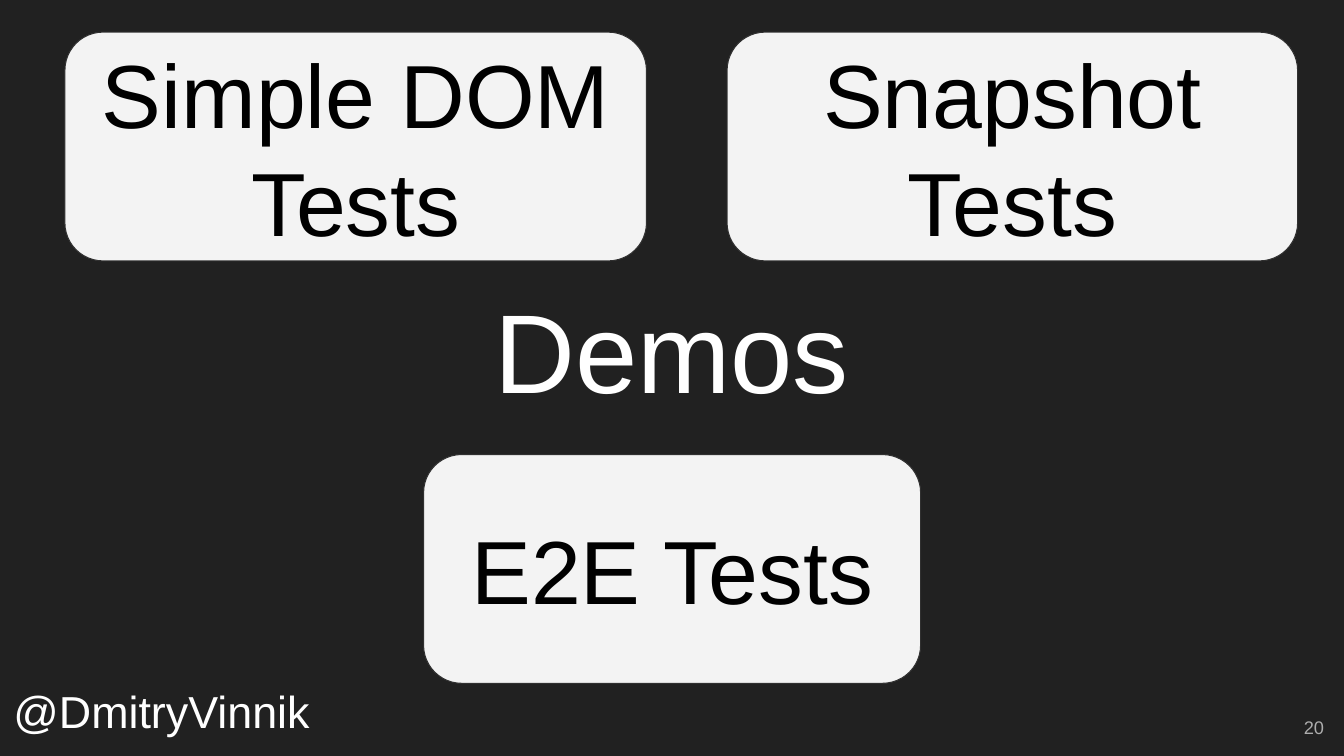
from pptx import Presentation
from pptx.dml.color import RGBColor
from pptx.enum.shapes import MSO_SHAPE
from pptx.enum.text import MSO_ANCHOR, MSO_AUTO_SIZE, PP_ALIGN
from pptx.util import Pt

BACKGROUND = RGBColor(0x21, 0x21, 0x21)
CARD_FILL = RGBColor(0xF3, 0xF3, 0xF3)
CARD_LINE = RGBColor(0x30, 0x30, 0x30)
WHITE = RGBColor(0xFF, 0xFF, 0xFF)
BLACK = RGBColor(0, 0, 0)
GRAY = RGBColor(0xAD, 0xAD, 0xAD)

FONT = "Arial"
INSET = Pt(9.6)
CARD_HEIGHT = 163.4
TOP_ROW = 23
BOTTOM_ROW = 324.7


def write(sp, text, size, color, align, anchor=MSO_ANCHOR.MIDDLE):
    tf = sp.text_frame
    tf.text = text
    tf.word_wrap = True
    tf.auto_size = MSO_AUTO_SIZE.NONE
    tf.vertical_anchor = anchor
    tf.margin_left = tf.margin_top = tf.margin_right = tf.margin_bottom = INSET
    p = tf.paragraphs[0]
    p.alignment = align
    font = p.runs[0].font
    font.name, font.size = FONT, Pt(size)
    font.color.rgb = color
    return p


def set_title(s, text):
    sp = s.shapes.title
    sp.left, sp.top, sp.width, sp.height = Pt(102.2), Pt(231.1), Pt(755.3), Pt(77.8)
    p = write(sp, text, 80, WHITE, PP_ALIGN.CENTER, MSO_ANCHOR.BOTTOM)
    p.line_spacing = 0.95
    p.space_before = Pt(0)


def add_label(s, text, left, top, width, height, size, color, align):
    sp = s.shapes.add_textbox(Pt(left), Pt(top), Pt(width), Pt(height))
    write(sp, text, size, color, align)


def add_card(s, text, left, top, width):
    sp = s.shapes.add_shape(MSO_SHAPE.ROUNDED_RECTANGLE,
                            Pt(left), Pt(top), Pt(width), Pt(CARD_HEIGHT))
    sp.shadow.inherit = False
    sp.fill.solid()
    sp.fill.fore_color.rgb = CARD_FILL
    sp.line.color.rgb = CARD_LINE
    sp.line.width = Pt(0.75)
    write(sp, text, 64, BLACK, PP_ALIGN.CENTER)


def main():
    prs = Presentation()
    prs.slide_width, prs.slide_height = Pt(960), Pt(540)
    s = prs.slides.add_slide(prs.slide_layouts[5])
    s.background.fill.solid()
    s.background.fill.fore_color.rgb = BACKGROUND

    set_title(s, "Demos")
    add_label(s, "@DmitryVinnik", 0, 468.7, 356.4, 77.8, 32, WHITE, PP_ALIGN.LEFT)
    add_label(s, "20", 897.8, 499, 57.6, 41, 13, GRAY, PP_ALIGN.RIGHT)
    add_card(s, "Simple DOM Tests", 46.4, TOP_ROW, 415.4)
    add_card(s, "Snapshot Tests", 519.4, TOP_ROW, 407.5)
    add_card(s, "E2E Tests", 302.6, BOTTOM_ROW, 355)

    prs.save("out.pptx")


if __name__ == "__main__":
    main()
